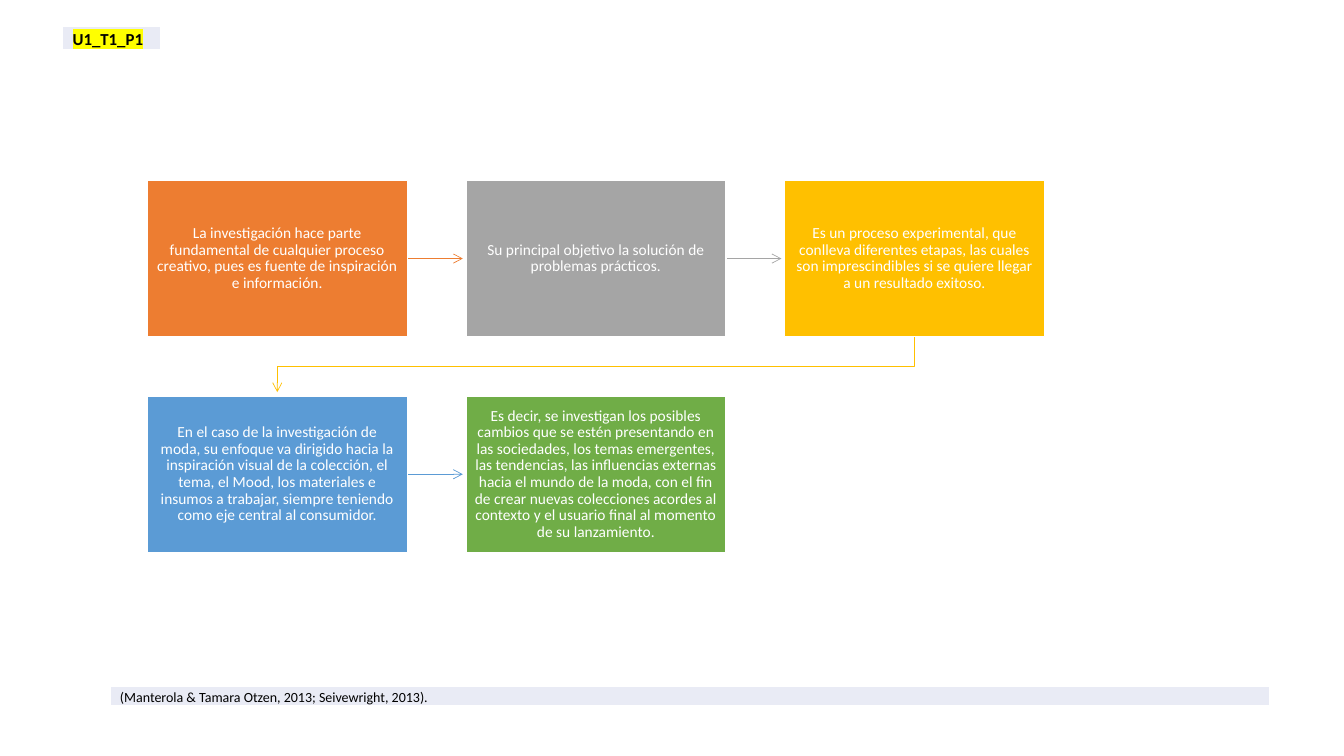
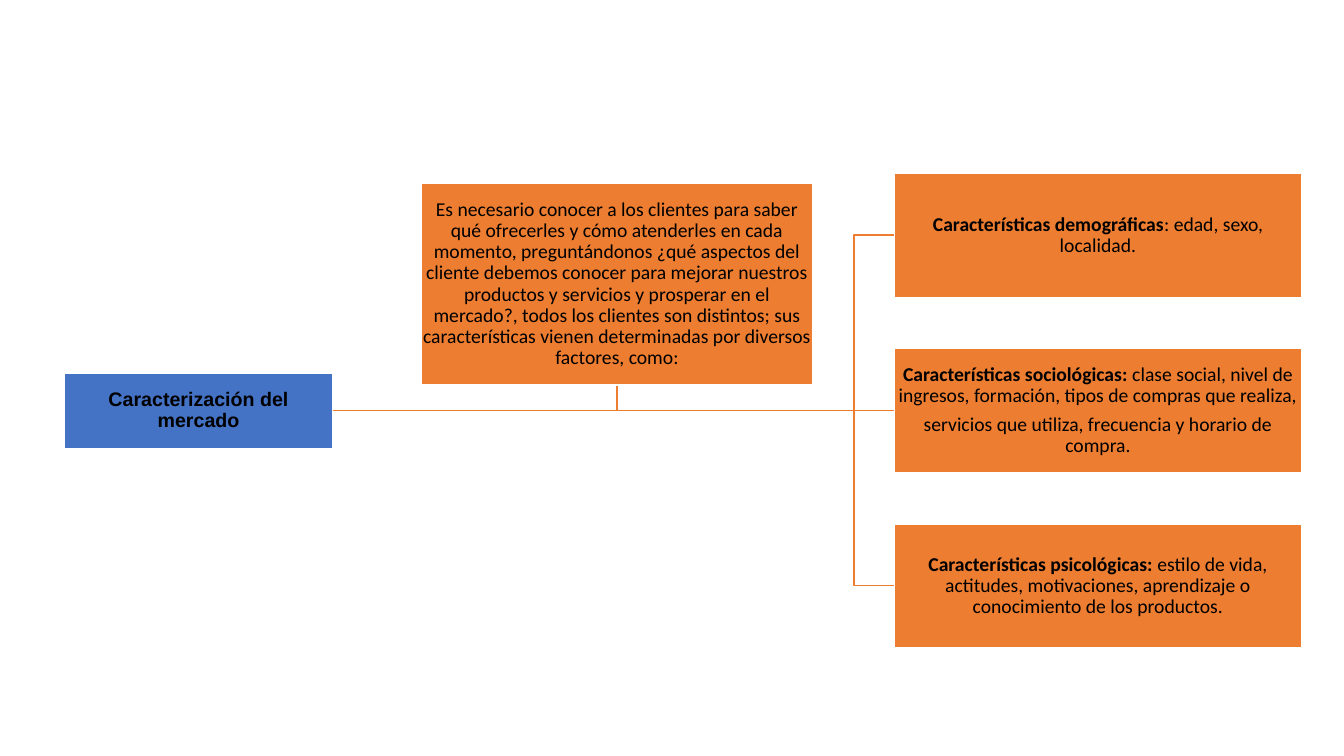
"""Build two slides: a research process and a market characterisation tree."""
from lxml.etree import SubElement
from pptx import Presentation
from pptx.dml.color import RGBColor
from pptx.enum.shapes import MSO_CONNECTOR, MSO_SHAPE
from pptx.enum.text import MSO_ANCHOR, PP_ALIGN
from pptx.oxml.ns import qn
from pptx.util import Inches, Pt

BLACK = RGBColor(0, 0, 0)
WHITE = RGBColor(255, 255, 255)
ORANGE = RGBColor(0xED, 0x7D, 0x31)
GREY = RGBColor(0xA5, 0xA5, 0xA5)
GOLD = RGBColor(0xFF, 0xC0, 0x00)
SKY = RGBColor(0x5B, 0x9B, 0xD5)
GREEN = RGBColor(0x70, 0xAD, 0x47)
BLUE = RGBColor(0x44, 0x72, 0xC4)
PALE = RGBColor(0xE9, 0xEB, 0xF5)

STEP = {"size": Pt(11), "name": "Calibri"}
LEAF = {"size": Pt(14), "name": "Calibri"}
ROOT = {"size": Pt(14), "name": "Arial"}


def add_box(slide, rect, fill, paras, look, ink, inset):
    """Draw a filled box with centred paragraphs of (text, bold) runs."""
    box = slide.shapes.add_shape(MSO_SHAPE.RECTANGLE, *map(Inches, rect))
    box.shadow.inherit = False
    box.fill.solid()
    box.fill.fore_color.rgb = fill
    box.line.color.rgb = WHITE
    box.line.width = Pt(1)
    frame = box.text_frame
    frame.word_wrap = True
    frame.vertical_anchor = MSO_ANCHOR.MIDDLE
    for side in ("left", "top", "right", "bottom"):
        setattr(frame, f"margin_{side}", Inches(inset))
    for num, parts in enumerate(paras):
        para = frame.add_paragraph() if num else frame.paragraphs[0]
        para.alignment = PP_ALIGN.CENTER
        para.line_spacing = 0.9
        para.space_after = Pt(look["size"].pt * 0.42)
        for text, bold in parts:
            run = para.add_run()
            run.text = text
            for key, value in {**look, "bold": bold}.items():
                setattr(run.font, key, value)
            run.font.color.rgb = ink


def add_path(slide, points, color, width, arrow=False):
    """Draw a straight or bent line through the points."""
    points = [(Inches(x), Inches(y)) for x, y in points]
    if len(points) == 2:
        line = slide.shapes.add_connector(MSO_CONNECTOR.STRAIGHT, *points[0], *points[1])
    else:
        outline = slide.shapes.build_freeform(*points[0])
        outline.add_line_segments(points[1:], close=False)
        line = outline.convert_to_shape()
        line.fill.background()
    line.line.color.rgb = color
    line.line.width = Pt(width)
    props = line._element.spPr
    if arrow:
        SubElement(props.find(qn("a:ln")), qn("a:tailEnd"), type="arrow")
    SubElement(props, qn("a:effectLst"))


deck = Presentation()
deck.slide_width = Inches(13.33)
deck.slide_height = Inches(7.5)
blank = deck.slide_layouts[6]

process = deck.slides.add_slide(blank)
steps = [
    (ORANGE, "La investigación hace parte fundamental de cualquier proceso creativo, "
     "pues es fuente de inspiración e información."),
    (GREY, "Su principal objetivo la solución de problemas prácticos."),
    (GOLD, "Es un proceso experimental, que conlleva diferentes etapas, las cuales son "
     "imprescindibles si se quiere llegar a un resultado exitoso."),
    (SKY, "En el caso de la investigación de moda, su enfoque va dirigido hacia la "
     "inspiración visual de la colección, el tema, el Mood, los materiales e insumos a "
     "trabajar, siempre teniendo como eje central al consumidor."),
    (GREEN, "Es decir, se investigan los posibles cambios que se estén presentando en las "
     "sociedades, los temas emergentes, las tendencias, las influencias externas hacia el "
     "mundo de la moda, con el fin de crear nuevas colecciones acordes al contexto y el "
     "usuario final al momento de su lanzamiento."),
]
wide, high = 2.58, 1.55
for num, (color, text) in enumerate(steps):
    row, col = divmod(num, 3)
    left, top = 1.46 + 3.16 * col, 1.79 + 2.14 * row
    mid = top + high / 2
    if col == 2:
        start, end = left + wide / 2, 1.46 + wide / 2
        turn = top + high + 0.29
        route = [(start, top + high), (start, turn), (end, turn), (end, turn + 0.26)]
    else:
        route = [(left + wide, mid), (left + wide + 0.55, mid)]
    if num < len(steps) - 1:
        add_path(process, route, color, 0.5, arrow=True)
    add_box(process, (left, top, wide, high), color, [[(text, False)]], STEP, WHITE, 0.09)

labels = [
    ((1.09, 6.81, 11.5, 0.18), "(Manterola & Tamara Otzen, 2013; Seivewright, 2013).", 10, False),
    ((0.62, 0.26, 0.97, 0.22), "U1_T1_P1", 12, True),
]
for rect, text, size, key in labels:
    table = process.shapes.add_table(1, 1, *map(Inches, rect)).table
    table.first_row = table.horz_banding = False
    cell = table.cell(0, 0)
    cell.fill.solid()
    cell.fill.fore_color.rgb = PALE
    cell.margin_left = cell.margin_right = Inches(0.1)
    cell.margin_top = cell.margin_bottom = 0
    para = cell.text_frame.paragraphs[0]
    para.line_spacing = 1.15
    run = para.add_run()
    run.text = text
    for name, value in {"size": Pt(size), "name": "Calibri", "bold": key}.items():
        setattr(run.font, name, value)
    run.font.color.rgb = BLACK
    if key:
        mark = SubElement(run.font._element, qn("a:highlight"))
        SubElement(mark, qn("a:srgbClr"), val="FFFF00")
        run.font._element.find(qn("a:solidFill")).addnext(mark)

market = deck.slides.add_slide(blank)
axis = 4.07
traits = [
    [[("Características demográficas", True), (": edad, sexo, localidad.", False)]],
    [[("Características sociológicas:", True),
      (" clase social, nivel de ingresos, formación, tipos de compras que realiza,", False)],
     [("servicios que utiliza, frecuencia y horario de compra.", False)]],
    [[("Características psicológicas: ", True),
      ("estilo de vida, actitudes, motivaciones, aprendizaje o conocimiento de los "
       "productos.", False)]],
]
add_path(market, [(3.29, axis), (6.12, axis), (6.12, 3.82)], ORANGE, 1)
for num, paras in enumerate(traits):
    mid = axis + 1.74 * (num - 1)
    route = [(3.29, axis), (8.87, axis)]
    if num != 1:
        route = [(3.29, axis), (8.47, axis), (8.47, mid), (8.87, mid)]
    add_path(market, route, ORANGE, 1)
    add_box(market, (8.87, mid - 0.61, 4.04, 1.23), ORANGE, paras, LEAF, BLACK, 0.01)
add_box(market, (0.64, 3.7, 2.66, 0.75), BLUE,
        [[("Caracterización del mercado", True)]], ROOT, BLACK, 0.01)
need = ("Es necesario conocer a los clientes para saber qué ofrecerles y cómo atenderles en "
        "cada momento, preguntándonos ¿qué aspectos del cliente debemos conocer para mejorar "
        "nuestros productos y servicios y prosperar en el mercado?, todos los clientes son "
        "distintos; sus características vienen determinadas por diversos factores, como:")
add_box(market, (4.18, 1.82, 3.88, 2), ORANGE, [[(need, False)]], LEAF, BLACK, 0.01)

deck.save("out.pptx")
